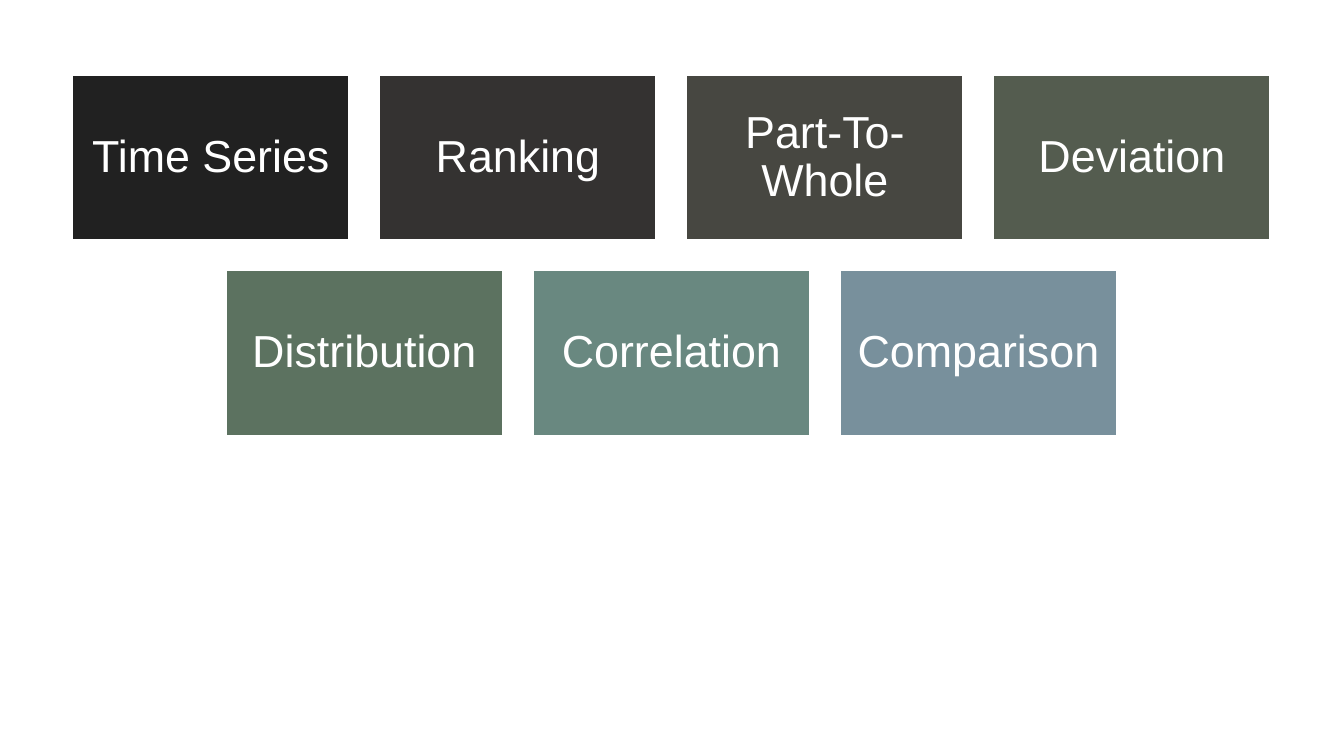
from pptx import Presentation, util as u
from pptx.dml.color import RGBColor
from pptx.enum import shapes, text

WHITE = RGBColor(0xFF, 0xFF, 0xFF)
ROWS = [
    [("Time Series", RGBColor(0x21, 0x21, 0x21)),
     ("Ranking", RGBColor(0x34, 0x32, 0x31)),
     ("Part-To-Whole", RGBColor(0x47, 0x47, 0x41)),
     ("Deviation", RGBColor(0x54, 0x5C, 0x4F))],
    [("Distribution", RGBColor(0x5C, 0x72, 0x60)),
     ("Correlation", RGBColor(0x69, 0x88, 0x80)),
     ("Comparison", RGBColor(0x78, 0x90, 0x9C))],
]
WIDTH = 10
HEIGHT = WIDTH * 9 / 16
LEFT, TOP, SPAN = 0.53, 0.55, 8.93
# Four tiles and three gaps, each a tenth of a tile, fill the span.
TILE_W = SPAN / 4.3
TILE_H = TILE_W * 0.6
GAP = TILE_W * 0.1


def add_tile(slide, left, top, label, fill):
    tile = slide.shapes.add_shape(
        shapes.MSO_SHAPE.RECTANGLE,
        *map(u.Inches, (left, top, TILE_W, TILE_H)))
    tile.shadow.inherit = False
    tile.fill.solid()
    tile.fill.fore_color.rgb = fill
    tile.line.color.rgb = WHITE
    tile.line.width = u.Pt(2)

    frame = tile.text_frame
    frame.word_wrap = True
    frame.vertical_anchor = text.MSO_ANCHOR.MIDDLE
    frame.margin_left = frame.margin_right = u.Inches(0.1)
    frame.margin_top = frame.margin_bottom = u.Inches(0.1)
    para = frame.paragraphs[0]
    para.text = label
    para.alignment = text.PP_ALIGN.CENTER
    para.line_spacing = 0.9
    para.font.name = "Arial"
    para.font.size = u.Pt(24)
    para.font.color.rgb = WHITE


def main():
    deck = Presentation()
    deck.slide_width, deck.slide_height = u.Inches(WIDTH), u.Inches(HEIGHT)
    slide = deck.slides.add_slide(deck.slide_layouts.get_by_name("Blank"))
    for row, tiles in enumerate(ROWS):
        used = len(tiles) * (TILE_W + GAP) - GAP
        left = LEFT + (SPAN - used) / 2
        top = TOP + row * (TILE_H + GAP)
        for col, (label, fill) in enumerate(tiles):
            add_tile(slide, left + col * (TILE_W + GAP), top, label, fill)
    deck.save("out.pptx")


if __name__ == "__main__":
    main()
